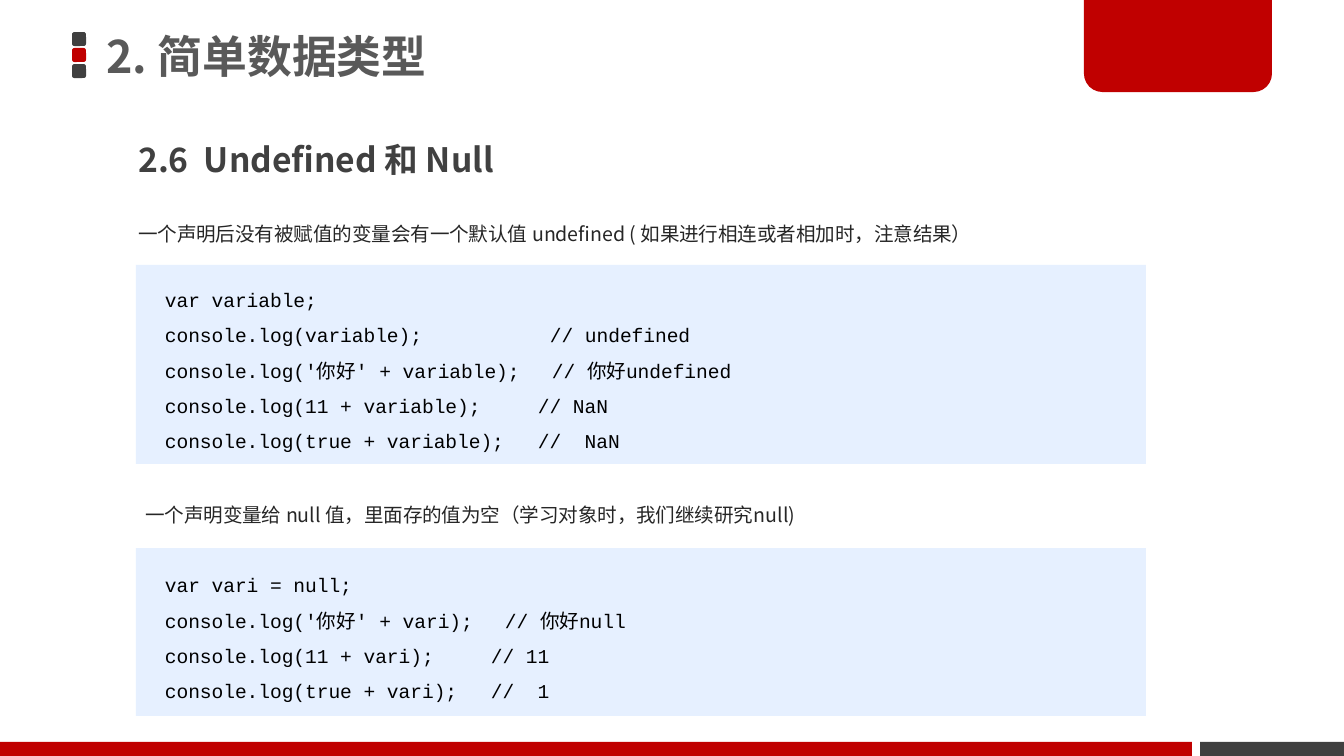
"""Build a slide about the Undefined and Null types with two code panels."""
from dataclasses import dataclass
from typing import Any

from lxml.etree import SubElement
from pptx import Presentation
from pptx.dml.color import RGBColor
from pptx.enum.shapes import MSO_SHAPE as Preset
from pptx.enum.text import MSO_ANCHOR as Anchor, MSO_AUTO_SIZE as AutoSize, PP_ALIGN as Align
from pptx.oxml.ns import qn
from pptx.util import Pt

EMU_PER_PX = 914400 / 134.4


@dataclass(frozen=True)
class Theme:
    red: str = "C00000"
    dark: str = "404040"
    title: str = "595959"
    body: str = "262626"
    code: str = "000000"
    panel: str = "E6F0FF"
    sans: str = "Noto Sans CJK SC"
    mono: str = "Courier New"
    title_size: float = 24
    heading_size: float = 18
    body_size: float = 10.5


@dataclass(frozen=True)
class Area:
    left: int
    top: int
    width: int
    height: int

    def emu(self) -> tuple[int, ...]:
        return tuple(px(n) for n in (self.left, self.top, self.width, self.height))


@dataclass(frozen=True)
class Style:
    font: str
    size: float
    color: str
    bold: bool = False
    leading: float = 1.5
    before: float = 0


@dataclass(frozen=True)
class Block:
    preset: Preset
    area: Area
    color: str
    corners: tuple[float, ...] = ()


@dataclass(frozen=True)
class Label:
    area: Area
    text: str
    style: Style


@dataclass(frozen=True)
class CodeLine:
    code: str
    comment: str = ""
    column: int = 0


@dataclass(frozen=True)
class Panel:
    area: Area
    lines: tuple[CodeLine, ...]


THEME = Theme()
TITLE = Style(THEME.sans, THEME.title_size, THEME.title, True, 0.9)
HEADING = Style(THEME.sans, THEME.heading_size, THEME.dark, True, 0.9, 7.5)
BODY = Style(THEME.sans, THEME.body_size, THEME.body, before=7.5)
CODE = Style(THEME.mono, THEME.body_size, THEME.code)

BLOCKS = [
    *(Block(Preset.ROUNDED_RECTANGLE, Area(72, 32 + 16 * row, 14, 14), color, (0.17,))
      for row, color in enumerate((THEME.dark, THEME.red, THEME.dark))),
    Block(Preset.RECTANGLE, Area(1200, 742, 144, 14), THEME.dark),
    Block(Preset.ROUND_2_SAME_RECTANGLE, Area(1084, 0, 188, 92), THEME.red, (0, 0.2)),
    Block(Preset.RECTANGLE, Area(0, 742, 1192, 14), THEME.red),
]
LABELS = [
    Label(Area(125, 137, 958, 79), "2.6  Undefined 和 Null", HEADING),
    Label(Area(125, 204, 1021, 66),
          "一个声明后没有被赋值的变量会有一个默认值 undefined ( 如果进行相连或者相加时，注意结果）", BODY),
    Label(Area(132, 485, 1011, 66),
          "一个声明变量给 null 值，里面存的值为空（学习对象时，我们继续研究null)", BODY),
]
PANELS = [
    Panel(Area(136, 265, 1010, 199), (
        CodeLine("var variable;"),
        CodeLine("console.log(variable);", "// undefined", 385),
        CodeLine("console.log('你好' + variable);", "// 你好undefined", 387),
        CodeLine("console.log(11 + variable);", "// NaN", 373),
        CodeLine("console.log(true + variable);", "//  NaN", 373),
    )),
    Panel(Area(136, 548, 1010, 168), (
        CodeLine("var vari = null;"),
        CodeLine("console.log('你好' + vari);", "// 你好null", 340),
        CodeLine("console.log(11 + vari);", "// 11", 326),
        CodeLine("console.log(true + vari);", "//  1", 326),
    )),
]


def px(length: int) -> int:
    return round(length * EMU_PER_PX)


def apply(target: Any, values: dict[str, Any]) -> None:
    for name, value in values.items():
        setattr(target, name, value)


def write(para: Any, text: str, style: Style) -> None:
    apply(para, {"alignment": Align.LEFT, "line_spacing": style.leading,
                 "space_before": Pt(style.before)})
    span = para.add_run()
    span.text = text
    apply(span.font, {"name": style.font, "size": Pt(style.size), "bold": style.bold})
    span.font.color.rgb = RGBColor.from_string(style.color)
    SubElement(span.font._element, qn("a:ea"), typeface=THEME.sans)


def draw_block(page: Any, block: Block) -> Any:
    shape = page.shapes.add_shape(block.preset, *block.area.emu())
    shape.shadow.inherit = False
    shape.fill.solid()
    shape.fill.fore_color.rgb = RGBColor.from_string(block.color)
    shape.line.fill.background()
    for index, corner in enumerate(block.corners):
        shape.adjustments[index] = corner
    return shape


def draw_label(page: Any, label: Label) -> None:
    box = page.shapes.add_textbox(*label.area.emu())
    box.text_frame.word_wrap = True
    write(box.text_frame.paragraphs[0], label.text, label.style)


def draw_panel(page: Any, panel: Panel) -> None:
    frame = draw_block(page, Block(Preset.RECTANGLE, panel.area, THEME.panel)).text_frame
    apply(frame, {"word_wrap": True, "vertical_anchor": Anchor.MIDDLE, "margin_left": px(29)})
    for index, line in enumerate(panel.lines):
        para = frame.add_paragraph() if index else frame.paragraphs[0]
        write(para, f"{line.code}\t{line.comment}" if line.comment else line.code, CODE)
        if line.comment:
            stops = SubElement(para._p.get_or_add_pPr(), qn("a:tabLst"))
            SubElement(stops, qn("a:tab"), pos=str(px(line.column)), algn="l")


def draw_title(page: Any, label: Label) -> None:
    title = page.shapes.title
    apply(title, dict(zip(("left", "top", "width", "height"), label.area.emu())))
    apply(title.text_frame, {"word_wrap": True, "auto_size": AutoSize.NONE,
                             "vertical_anchor": Anchor.MIDDLE})
    write(title.text_frame.paragraphs[0], label.text, label.style)


def main() -> None:
    deck = Presentation()
    apply(deck, {"slide_width": px(1344), "slide_height": px(756)})
    page = deck.slides.add_slide(deck.slide_layouts[5])
    draw_title(page, Label(Area(93, 0, 990, 117), "2. 简单数据类型", TITLE))
    for block in BLOCKS:
        draw_block(page, block)
    for label in LABELS:
        draw_label(page, label)
    for panel in PANELS:
        draw_panel(page, panel)
    deck.save("out.pptx")


if __name__ == "__main__":
    main()
